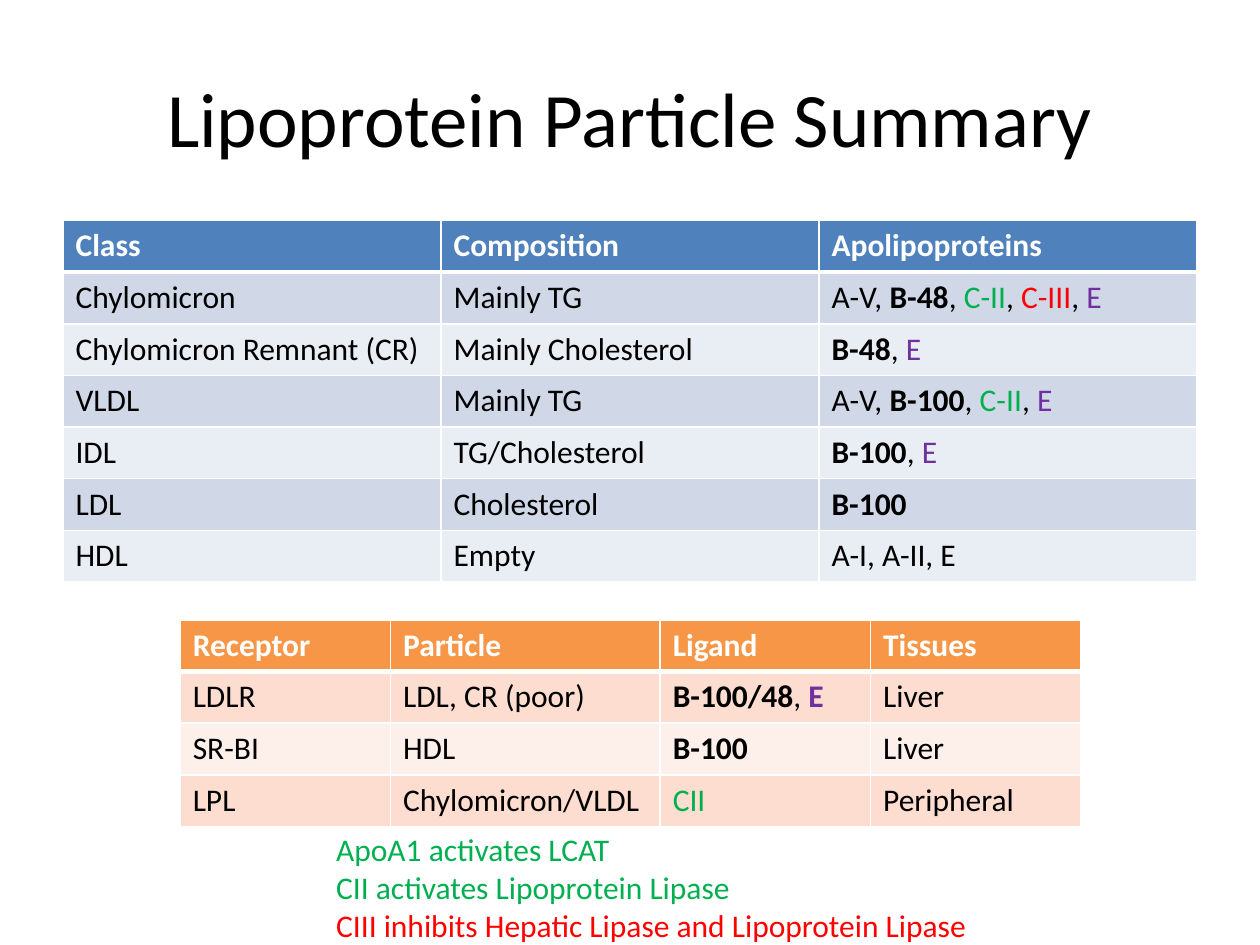
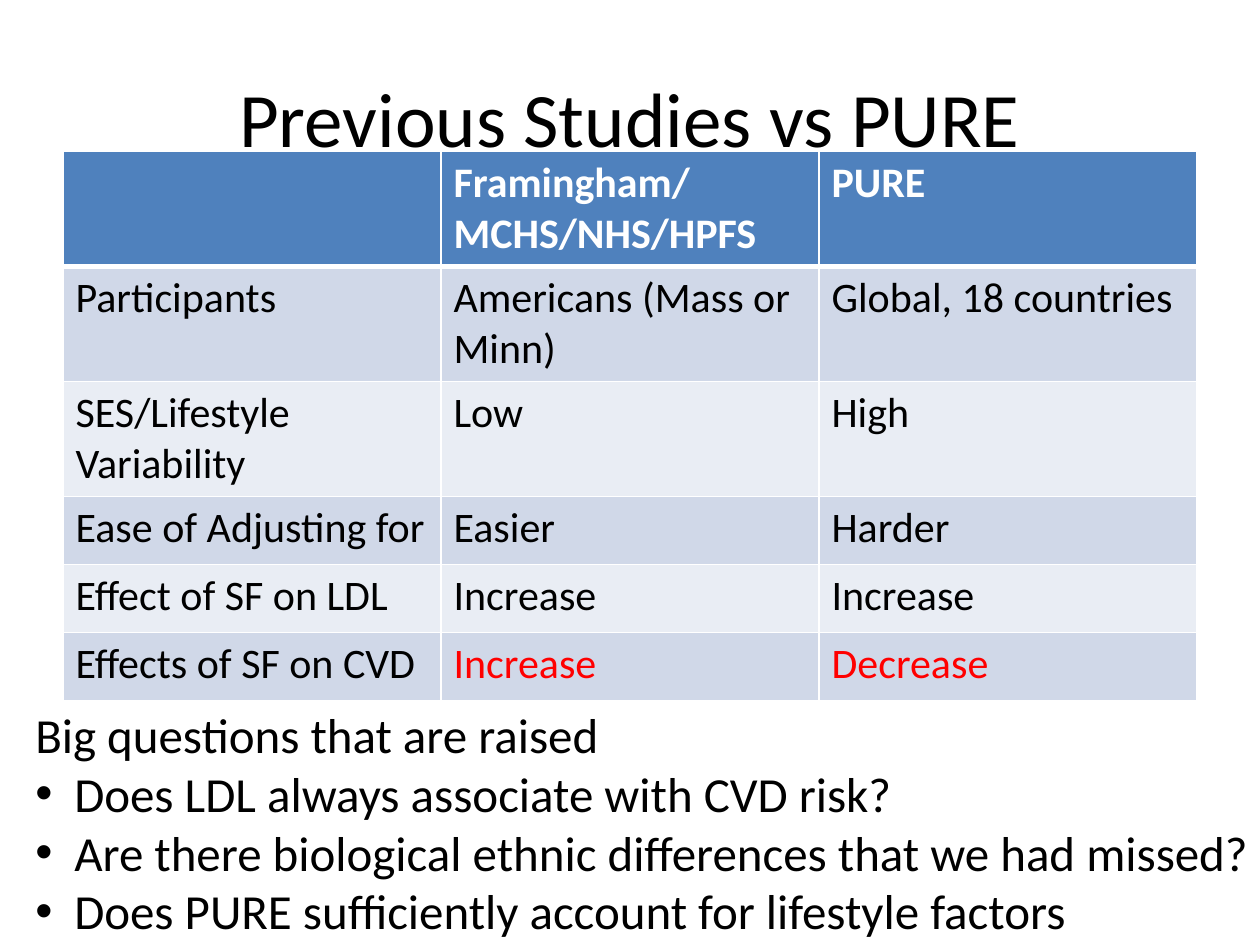
from lxml import etree
from pptx import Presentation
from pptx import util as u
from pptx.dml.color import RGBColor
from pptx.enum import text
from pptx.oxml.ns import qn

FONT = "Calibri"
COLORS = {
    "black": "000000", "white": "FFFFFF", "red": "FF0000",
    "green": "00B050", "purple": "7030A0",
}
# Table palettes: header, odd rows, even rows
BLUE = ("4F81BD", "D0D8E8", "E9EDF4")
ORANGE = ("F79646", "FCDDCF", "FDEFE9")

# Runs that recur in the apolipoprotein columns: text, colour, bold
B48 = ("B-48", "black", True)
B100 = ("B-100", "black", True)
CII = ("C-II", "green", False)
CIII = ("C-III", "red", False)
APO_E = ("E", "purple", False)

CLASS_ROWS = [
    ["Class", "Composition", "Apolipoproteins"],
    ["Chylomicron", "Mainly TG", ["A-V, ", B48, ", ", CII, ", ", CIII, ", ", APO_E]],
    ["Chylomicron Remnant (CR)", "Mainly Cholesterol", [B48, ", ", APO_E]],
    ["VLDL", "Mainly TG", ["A-V, ", B100, ", ", CII, ", ", APO_E]],
    ["IDL", "TG/Cholesterol", [B100, ", ", APO_E]],
    ["LDL", "Cholesterol", [B100]],
    ["HDL", "Empty", "A-I, A-II, E"],
]
RECEPTOR_ROWS = [
    ["Receptor", "Particle", "Ligand", "Tissues"],
    ["LDLR", "LDL, CR (poor)",
     [("B-100/48", "black", True), ", ", ("E", "purple", True)], "Liver"],
    ["SR-BI", "HDL", [B100], "Liver"],
    ["LPL", "Chylomicron/VLDL", [("CII", "green", False)], "Peripheral"],
]
STUDY_ROWS = [
    ["", "Framingham/MCHS/NHS/HPFS", "PURE"],
    ["Participants", "Americans (Mass or Minn)", "Global, 18 countries"],
    ["SES/Lifestyle Variability", "Low", "High"],
    ["Ease of Adjusting for", "Easier", "Harder"],
    ["Effect of SF on LDL", "Increase", "Increase"],
    ["Effects of SF on CVD", [("Increase", "red", False)], [("Decrease", "red", False)]],
]
ACTIVATION_NOTES = [
    ("ApoA1 activates LCAT", "green"),
    ("CII activates Lipoprotein Lipase", "green"),
    ("CIII inhibits Hepatic Lipase and Lipoprotein Lipase", "red"),
]
QUESTIONS = [
    "Big questions that are raised",
    "Does LDL always associate with CVD risk?",
    "Are there biological ethnic differences that we had missed?",
    "Does PURE sufficiently account for lifestyle factors",
]


def add_run(paragraph, content, size, color="black", bold=False):
    run = paragraph.add_run()
    run.text = content
    run.font.name = FONT
    run.font.size = u.Pt(size)
    run.font.bold = bold
    run.font.color.rgb = RGBColor.from_string(COLORS[color])


def set_box(shape, box):
    shape.left, shape.top, shape.width, shape.height = map(u.Inches, box)


def add_title(slide, title):
    shape = slide.shapes.title
    set_box(shape, (0.5, 0.3, 9, 1.25))
    shape.text_frame.vertical_anchor = text.MSO_ANCHOR.MIDDLE
    paragraph = shape.text_frame.paragraphs[0]
    paragraph.alignment = text.PP_ALIGN.CENTER
    add_run(paragraph, title, 44)


def set_borders(cell, row_index):
    """White grid lines, with a thick one under the header row."""
    properties = cell._tc.get_or_add_tcPr()
    widths = {"L": 1, "R": 1, "T": 3 if row_index == 1 else 1,
              "B": 3 if row_index == 0 else 1}
    for side, width in widths.items():
        line = etree.SubElement(properties, qn(f"a:ln{side}"), w=str(u.Pt(width)))
        fill = etree.SubElement(line, qn("a:solidFill"))
        etree.SubElement(fill, qn("a:srgbClr"), val=COLORS["white"])


def add_banded_table(slide, left, top, rows, column_widths, row_heights, palette, size):
    table = slide.shapes.add_table(
        len(rows), len(column_widths), u.Inches(left), u.Inches(top),
        u.Inches(sum(column_widths)), u.Inches(sum(row_heights))).table
    for column, width in zip(table.columns, column_widths):
        column.width = u.Inches(width)
    for row_index, (values, height) in enumerate(zip(rows, row_heights)):
        table.rows[row_index].height = u.Inches(height)
        is_header = row_index == 0
        band = palette[0] if is_header else palette[2 - row_index % 2]
        for column_index, value in enumerate(values):
            cell = table.cell(row_index, column_index)
            set_borders(cell, row_index)
            cell.fill.solid()
            cell.fill.fore_color.rgb = RGBColor.from_string(band)
            plain_color = "white" if is_header else "black"
            paragraph = cell.text_frame.paragraphs[0]
            for part in [value] if isinstance(value, str) else value:
                if isinstance(part, str):
                    part = (part, plain_color, is_header)
                if part[0]:
                    content, color, bold = part
                    add_run(paragraph, content, size, color, bold)


def next_paragraph(frame, index):
    return frame.add_paragraph() if index else frame.paragraphs[0]


def add_activation_notes(slide, box):
    frame = slide.shapes.add_textbox(*map(u.Inches, box)).text_frame
    frame.word_wrap = False
    for index, (note, color) in enumerate(ACTIVATION_NOTES):
        add_run(next_paragraph(frame, index), note, 18, color)


def add_questions(slide, box):
    shape = slide.placeholders[1]
    set_box(shape, box)
    frame = shape.text_frame
    frame.word_wrap = False
    frame.auto_size = text.MSO_AUTO_SIZE.NONE
    for index, question in enumerate(QUESTIONS):
        paragraph = next_paragraph(frame, index)
        properties = paragraph._p.get_or_add_pPr()
        indent = u.Inches(0.31) if index else 0
        properties.set("marL", str(indent))
        properties.set("indent", str(-indent))
        if index:
            etree.SubElement(properties, qn("a:buFont"), typeface="Arial")
            etree.SubElement(properties, qn("a:buChar"), char="•")
        else:
            etree.SubElement(properties, qn("a:buNone"))
        paragraph.space_before = u.Pt(0)
        add_run(paragraph, question, 28)


def build_particle_slide(presentation):
    slide = presentation.slides.add_slide(presentation.slide_layouts[5])
    add_title(slide, "Lipoprotein Particle Summary")
    add_banded_table(slide, 0.5, 1.75, CLASS_ROWS, [3] * 3,
                     [0.41] * len(CLASS_ROWS), BLUE, 18)
    add_banded_table(slide, 1.43, 4.92, RECEPTOR_ROWS, [1.67, 2.14, 1.67, 1.67],
                     [0.41] * len(RECEPTOR_ROWS), ORANGE, 18)
    add_activation_notes(slide, (2.57, 6.54, 5.27, 1.01))


def build_study_slide(presentation):
    slide = presentation.slides.add_slide(presentation.slide_layouts[1])
    add_title(slide, "Previous Studies vs PURE")
    add_banded_table(slide, 0.5, 1.2, STUDY_ROWS, [3] * 3,
                     [0.91] * 3 + [0.54] * 3, BLUE, 24)
    add_questions(slide, (0.18, 5.54, 9.94, 1.99))


def main():
    presentation = Presentation()
    presentation.slide_width = u.Inches(10)
    presentation.slide_height = u.Inches(7.5)
    build_particle_slide(presentation)
    build_study_slide(presentation)
    presentation.save("out.pptx")


if __name__ == "__main__":
    main()
